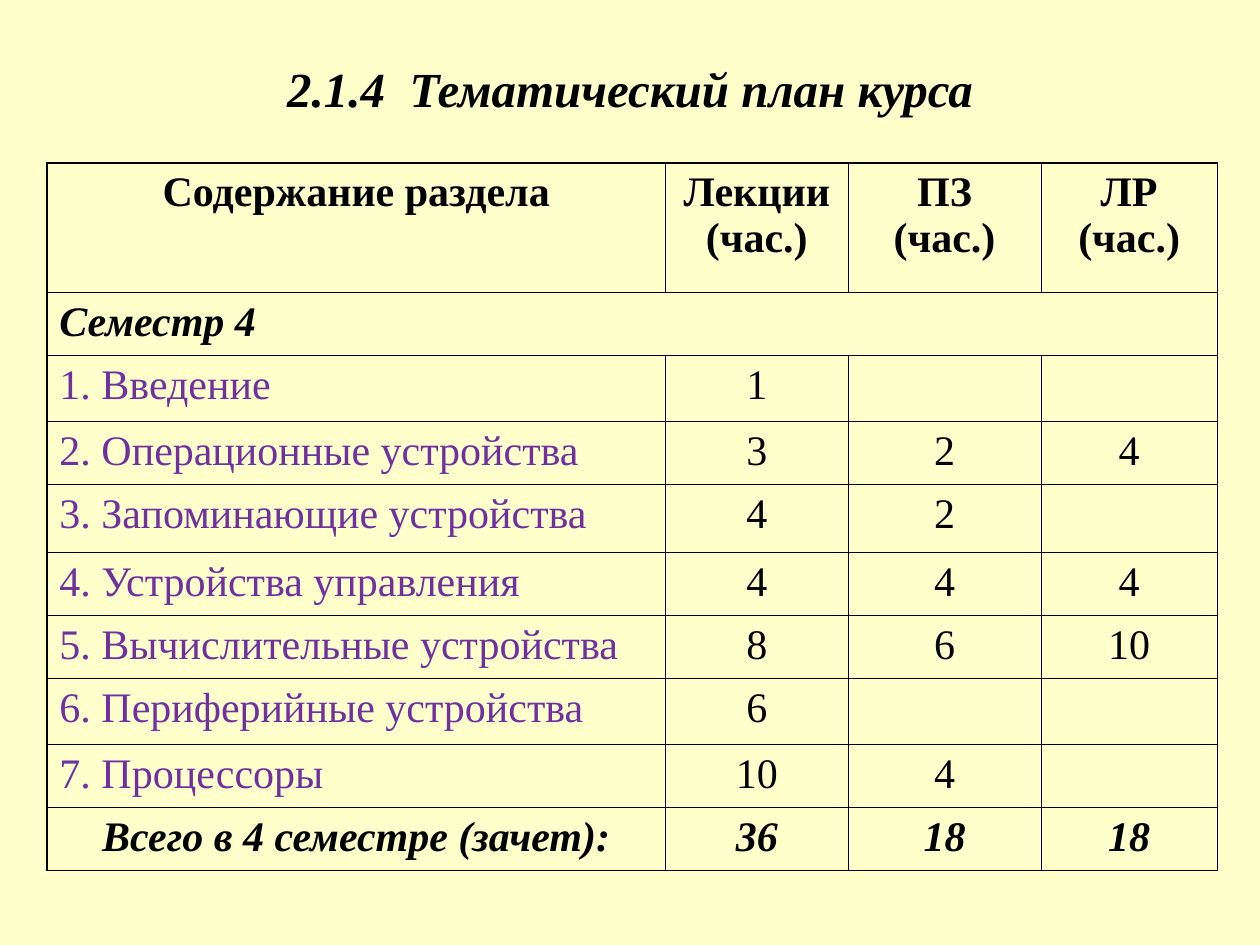
from lxml.etree import SubElement
from pptx import Presentation
from pptx.dml.color import RGBColor
from pptx.enum.text import MSO_ANCHOR as Anchor, PP_ALIGN as Align
from pptx.oxml.ns import qn
from pptx.util import Pt

BLACK, PURPLE, CREAM = "000000", "7030A0", "FFFFCC"
THIN, THICK = 0.45, 1.08

COLS = [353.5, 104.4, 110.2, 100.8]
ROWS = [74.3, 36, 37.7, 36, 38.8, 36, 36, 37.7, 36, 36]

HEAD = ["Содержание раздела", "Лекции\n(час.)", "ПЗ\v(час.)", "ЛР (час.)"]
TERM = "Семестр 4"
TOPICS = [
    ["1. Введение", "1", "", ""],
    ["2. Операционные устройства", "3", "2", "4"],
    ["3. Запоминающие устройства", "4", "2", ""],
    ["4. Устройства управления", "4", "4", "4"],
    ["5. Вычислительные устройства", "8", "6", "10"],
    ["6. Периферийные устройства", "6", "", ""],
    ["7. Процессоры", "10", "4", ""],
]
TOTAL = ["Всего в 4 семестре (зачет):", "36", "18", "18"]


def color(code):
    return RGBColor.from_string(code)


class Deck:
    font = "Times New Roman"

    def __init__(self, wide, high):
        self.prs = Presentation()
        self.prs.slide_width, self.prs.slide_height = Pt(wide), Pt(high)

    def start(self, back):
        """Add a title-only slide with a plain background."""
        self.slide = self.prs.slides.add_slide(self.prs.slide_layouts[5])
        fill = self.slide.background.fill
        fill.solid()
        fill.fore_color.rgb = color(back)

    def add_text(self, frame, text, size, align, ink=BLACK, bold=False, slant=False):
        """Newlines part paragraphs; vertical tabs break a line."""
        for i, line in enumerate(text.split("\n")):
            para = frame.add_paragraph() if i else frame.paragraphs[0]
            para.alignment = align
            for j, part in enumerate(line.split("\v")):
                if j:
                    para.add_line_break()
                run = para.add_run()
                run.text = part
                font = run.font
                font.name, font.size = self.font, Pt(size)
                font.bold, font.italic = bold, slant
                font.color.rgb = color(ink)

    def title(self, text, left, top, wide, high):
        box = self.slide.shapes.title
        box.left, box.top, box.width, box.height = map(Pt, (left, top, wide, high))
        box.text_frame.vertical_anchor = Anchor.MIDDLE
        self.add_text(box.text_frame, text, 28, Align.CENTER, bold=True, slant=True)

    def table(self, left, top, cols, rows):
        frame = self.slide.shapes.add_table(
            len(rows), len(cols), Pt(left), Pt(top), Pt(sum(cols)), Pt(sum(rows)))
        grid = frame.table
        grid.first_row = grid.horz_banding = False
        for col, wide in zip(grid.columns, cols):
            col.width = Pt(wide)
        for row, high in zip(grid.rows, rows):
            row.height = Pt(high)
        return grid

    def fill_row(self, grid, row, texts, align=Align.CENTER, ink=BLACK, **style):
        """Align and ink apply to the first cell; the others are centred black."""
        for col, text in enumerate(texts):
            if text:
                look = (align, ink) if col == 0 else (Align.CENTER, BLACK)
                self.add_text(grid.cell(row, col).text_frame, text, 24, *look, **style)

    def rule(self, grid):
        """Draw thin inner and thick outer borders on unfilled cells."""
        high, wide = len(grid.rows), len(grid.columns)
        for row in range(high):
            for col in range(wide):
                cell = grid.cell(row, col)
                if not cell.is_spanned:
                    last = col + cell.span_width == wide
                    edges = {"L": col == 0, "R": last,
                             "T": row == 0, "B": row == high - 1}
                    for side, outer in edges.items():
                        self.edge(cell, side, THICK if outer else THIN)
                cell.fill.background()

    def edge(self, cell, side, width):
        props = cell._tc.get_or_add_tcPr()
        line = SubElement(props, qn("a:ln" + side), w=str(int(Pt(width))))
        SubElement(SubElement(line, qn("a:solidFill")), qn("a:srgbClr"), val=BLACK)


def main():
    deck = Deck(720, 540)
    deck.start(CREAM)
    deck.title("2.1.4  Тематический план курса", 36, 21.6, 648, 57)
    grid = deck.table(26.8, 93, COLS, ROWS)
    grid.cell(1, 0).merge(grid.cell(1, len(COLS) - 1))
    deck.fill_row(grid, 0, HEAD, bold=True)
    deck.fill_row(grid, 1, [TERM], Align.LEFT, bold=True, slant=True)
    for row, topic in enumerate(TOPICS, 2):
        deck.fill_row(grid, row, topic, Align.LEFT, PURPLE)
    deck.fill_row(grid, len(ROWS) - 1, TOTAL, bold=True, slant=True)
    deck.rule(grid)
    deck.prs.save("out.pptx")


if __name__ == "__main__":
    main()
